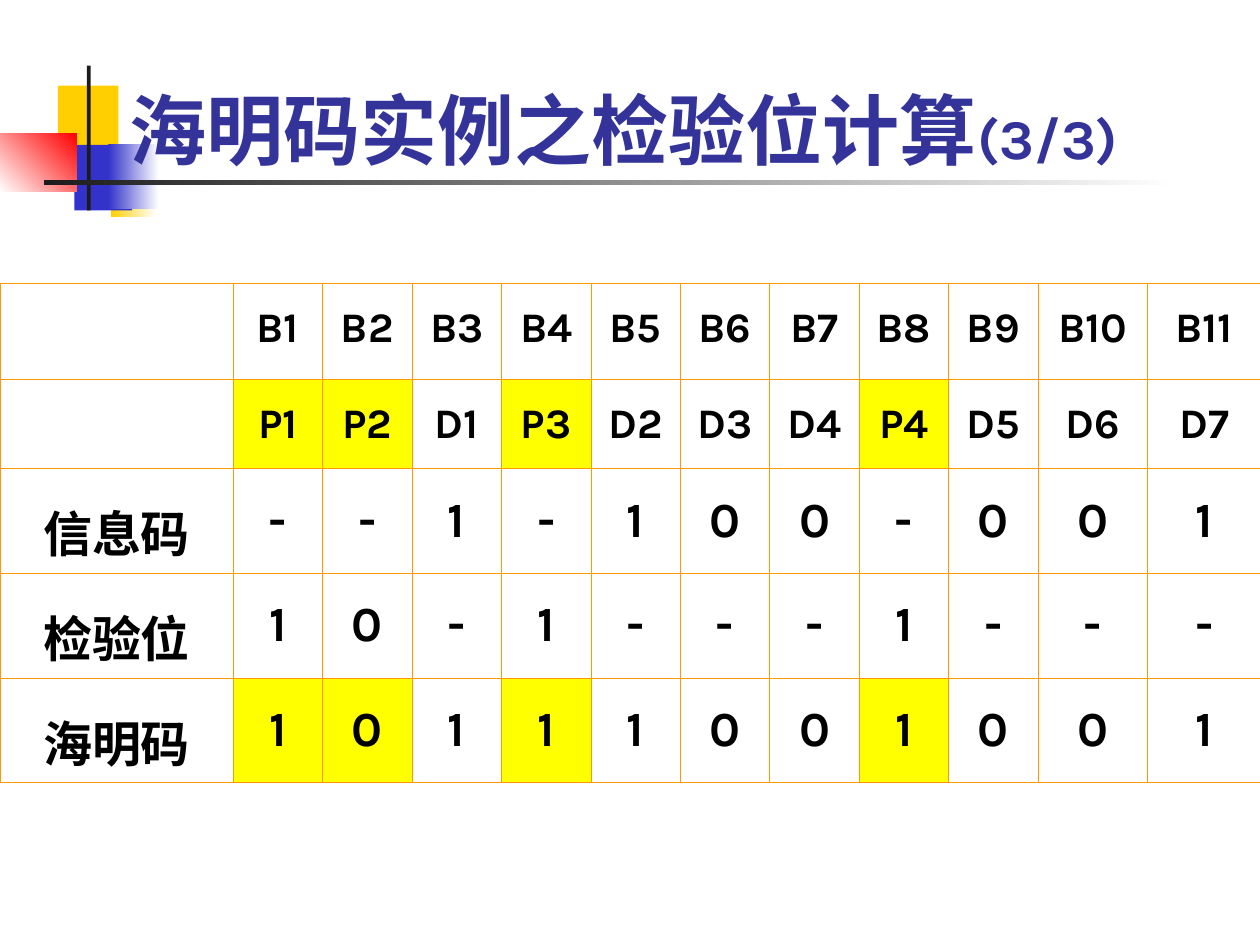
from dataclasses import dataclass

from lxml import etree
from pptx import Presentation
from pptx.dml.color import RGBColor
from pptx.enum.shapes import MSO_SHAPE
from pptx.enum.text import MSO_ANCHOR, MSO_AUTO_SIZE, PP_ALIGN
from pptx.oxml.ns import qn
from pptx.util import Inches, Pt

RECT = MSO_SHAPE.RECTANGLE
BOTTOM, TOP = MSO_ANCHOR.BOTTOM, MSO_ANCHOR.TOP
LEFT, CENTER = PP_ALIGN.LEFT, PP_ALIGN.CENTER
NO_AUTOFIT = MSO_AUTO_SIZE.NONE


@dataclass(frozen=True)
class Theme:
    font: str = "Karla"
    title: str = "333399"
    text: str = "000000"
    gold: str = "FFCF01"
    blue: str = "3333CC"
    red: str = "FF0000"
    dark: str = "1C1C1C"
    white: str = "FFFFFF"
    mark: str = "FFFF00"
    border: str = "FF9900"
    border_pt: float = 0.45
    title_pt: int = 44
    page_pt: int = 32
    head_pt: int = 24
    body_pt: int = 28


@dataclass(frozen=True)
class Block:
    left: float
    top: float
    width: float
    height: float
    start: str
    end: str = ""
    angle: int = 0


T = Theme()
BLOCKS = [
    Block(0.46, 0.68, 0.48, 0.52, T.gold),
    Block(0.88, 1.2, 0.36, 0.52, T.gold, T.white),
    Block(0.59, 1.15, 0.46, 0.52, T.blue),
    Block(0.86, 1.14, 0.4, 0.52, T.blue, T.white),
    Block(0, 1.06, 0.61, 0.46, T.white, T.red, 45),
    Block(0.69, 0.52, 0.03, 1.15, T.dark),
    Block(0.35, 1.43, 9, 0.04, T.dark, T.white),
]
TITLE_RUNS = [("海明码实例之检验位计算", T.title_pt), ("(3/3)".replace("(", "(").replace(")", ")"), T.page_pt)]
ROWS = [
    ["", *(f"B{i}" for i in range(1, 12))],
    ["", *"P1 P2 D1 P3 D2 D3 D4 P4 D5 D6 D7".split()],
    ["信息码", *"--1-100-001"],
    ["检验位", *"10-1---1---"],
    ["海明码", *"10111001001"],
]
COL_WIDTHS = [1.85, *[0.71] * 9, 0.87, 0.9]
ROW_HEIGHTS = [0.76, 0.71, 0.71, 0.71, 0.77]
HEAD_ROWS = 2
MARKED_ROWS = {1, 4}
PARITY_COLS = {1, 2, 4, 8}


def rgb(color: str) -> RGBColor:
    return RGBColor.from_string(color)


def add_run(p, text: str, size: int, color: str) -> None:
    r = p.add_run()
    r.text = text
    r.font.name = T.font
    r.font.size = Pt(size)
    r.font.bold = True
    r.font.color.rgb = rgb(color)


def add_block(s, block: Block) -> None:
    sp = s.shapes.add_shape(RECT, Inches(block.left), Inches(block.top),
                            Inches(block.width), Inches(block.height))
    sp.shadow.inherit = False
    sp.line.fill.background()
    if block.end:
        sp.fill.gradient()
        sp.fill.gradient_angle = block.angle
        for stop, color in zip(sp.fill.gradient_stops, (block.start, block.end)):
            stop.color.rgb = rgb(color)
    else:
        sp.fill.solid()
        sp.fill.fore_color.rgb = rgb(block.start)


def add_title(s) -> None:
    sp = s.shapes.title
    sp.left, sp.top = Inches(0.93), Inches(0.36)
    sp.width, sp.height = Inches(8.88), Inches(1.08)
    tf = sp.text_frame
    tf.word_wrap = True
    tf.auto_size = NO_AUTOFIT
    tf.vertical_anchor = BOTTOM
    p = tf.paragraphs[0]
    p.alignment = LEFT
    for text, size in TITLE_RUNS:
        add_run(p, text, size, T.title)
    s.shapes._spTree.append(sp._element)


def set_borders(cell) -> None:
    props = cell._tc.get_or_add_tcPr()
    for i, side in enumerate(("a:lnL", "a:lnR", "a:lnT", "a:lnB")):
        ln = etree.Element(qn(side), w=str(int(Pt(T.border_pt))))
        fill = etree.SubElement(ln, qn("a:solidFill"))
        etree.SubElement(fill, qn("a:srgbClr"), val=T.border)
        props.insert(i, ln)


def fill_cell(cell, text: str, size: int, before: int, marked: bool) -> None:
    if marked:
        cell.fill.solid()
        cell.fill.fore_color.rgb = rgb(T.mark)
    else:
        cell.fill.background()
    set_borders(cell)
    cell.vertical_anchor = TOP
    if text:
        p = cell.text_frame.paragraphs[0]
        p.alignment = CENTER
        p.line_spacing = 1.3
        p.space_before = Pt(before)
        add_run(p, text, size, T.text)


def add_code_table(s) -> None:
    table = s.shapes.add_table(len(ROWS), len(COL_WIDTHS), Inches(0), Inches(2.25),
                               Inches(10), Inches(sum(ROW_HEIGHTS))).table
    table.first_row = table.horz_banding = False
    for col, width in zip(table.columns, COL_WIDTHS):
        col.width = Inches(width)
    for i, (texts, height) in enumerate(zip(ROWS, ROW_HEIGHTS)):
        table.rows[i].height = Inches(height)
        size, before = (T.head_pt, 6) if i < HEAD_ROWS else (T.body_pt, 7)
        for j, text in enumerate(texts):
            marked = i in MARKED_ROWS and j in PARITY_COLS
            fill_cell(table.cell(i, j), text, size, before, marked)


def main() -> None:
    """Build the Hamming code check-bit slide."""
    prs = Presentation()
    prs.slide_width, prs.slide_height = Inches(10), Inches(7.5)
    s = prs.slides.add_slide(prs.slide_layouts[5])
    for block in BLOCKS:
        add_block(s, block)
    add_title(s)
    add_code_table(s)
    prs.save("out.pptx")


main()
